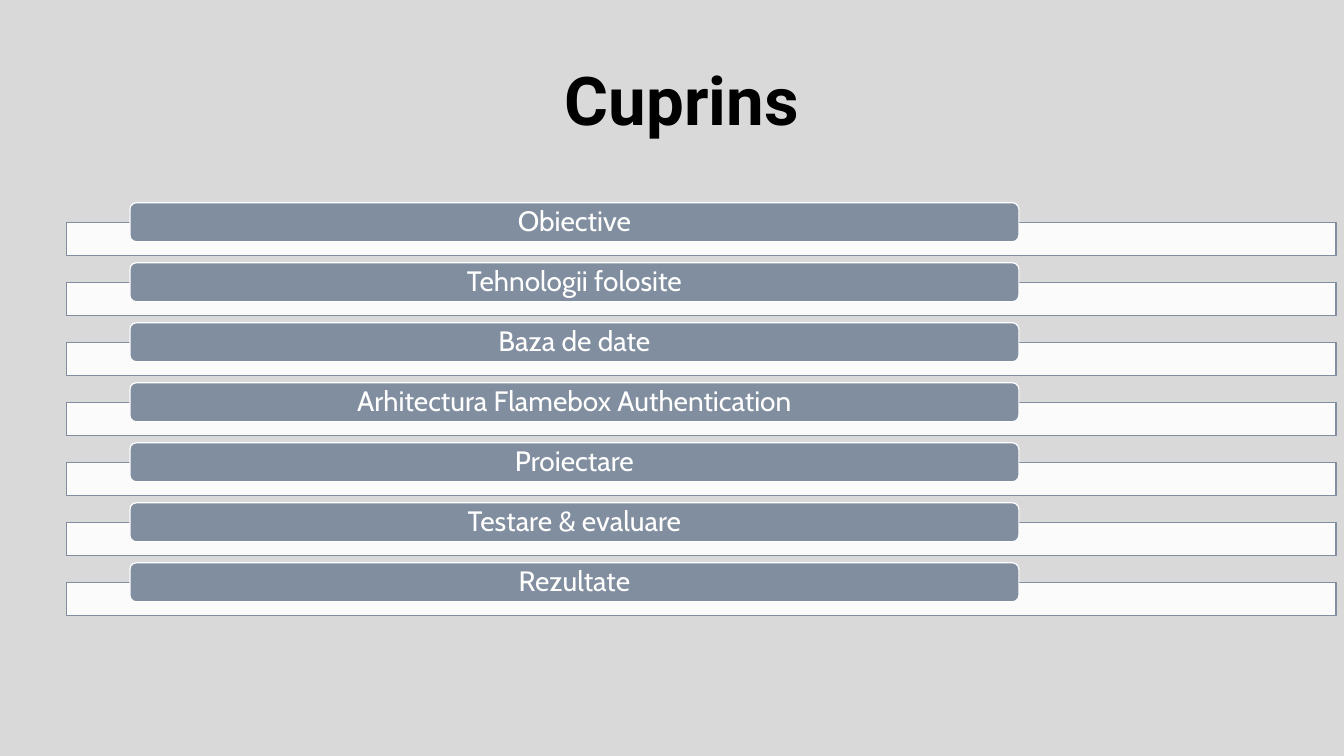
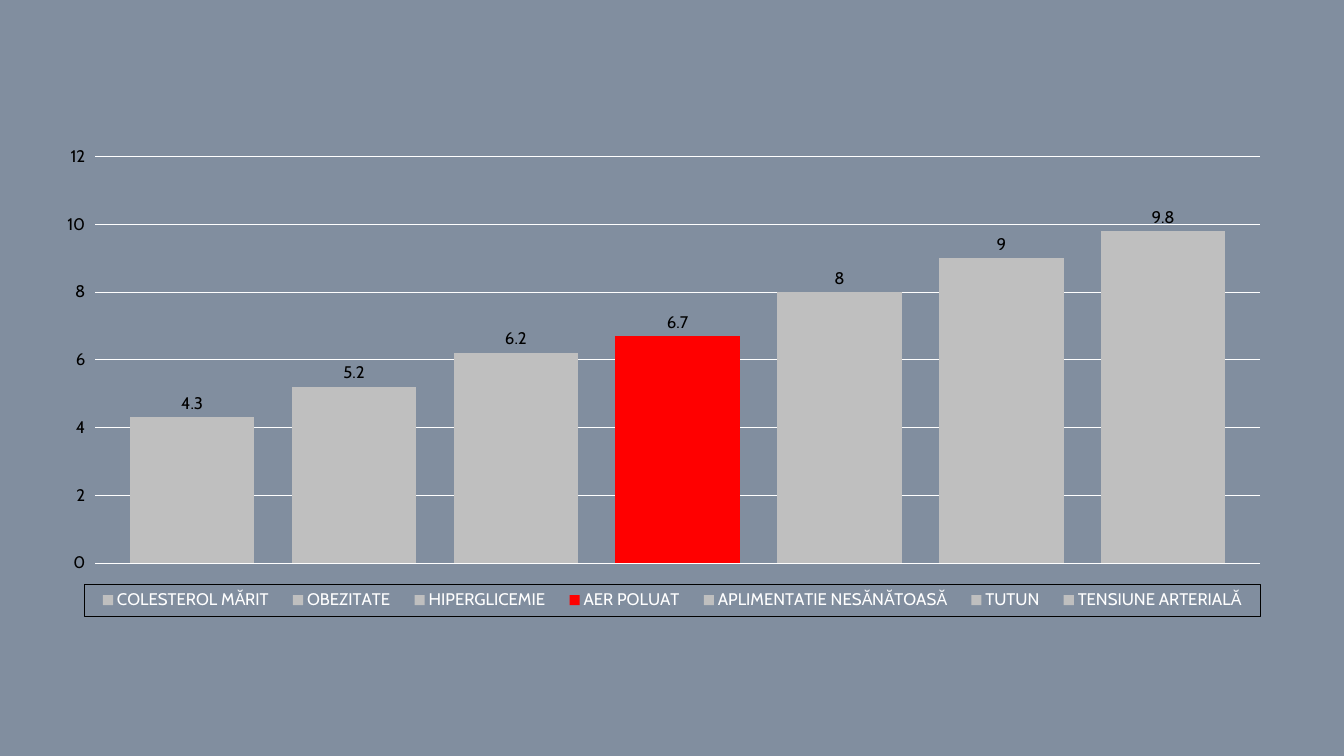
from pptx import Presentation
from pptx.chart.data import CategoryChartData
from pptx.dml.color import RGBColor
from pptx.enum.chart import XL_CHART_TYPE as ChartType
from pptx.enum.chart import XL_LABEL_POSITION as LabelPosition
from pptx.enum.chart import XL_LEGEND_POSITION as LegendPosition
from pptx.enum.chart import XL_TICK_MARK as TickMark
from pptx.enum.shapes import MSO_SHAPE as Shape
from pptx.enum.text import MSO_ANCHOR as Anchor
from pptx.enum.text import PP_ALIGN as Align
from pptx.oxml import parse_xml
from pptx.oxml.ns import nsdecls, qn
from pptx.util import Pt

SLATE, LIGHT, WHITE, BLACK = "818E9F", "D9D9D9", "FFFFFF", "000000"
GREY, RED = "BFBFBF", "FF0000"
TITLE_FONT, BODY_FONT = "Roboto", "Cabin"

TOPICS = [
    "Obiective",
    "Tehnologii folosite",
    "Baza de date",
    "Arhitectura Flamebox Authentication",
    "Proiectare",
    "Testare & evaluare",
    "Rezultate",
]
FIRST_BAR_TOP, ROW_PITCH, TRACK_DROP = 144.8, 42.87, 14

RISK_FACTORS = [
    ("COLESTEROL MĂRIT", 4.3),
    ("OBEZITATE", 5.2),
    ("HIPERGLICEMIE", 6.2),
    ("AER POLUAT", 6.7),
    ("APLIMENTATIE NESĂNĂTOASĂ", 8),
    ("TUTUN", 9),
    ("TENSIUNE ARTERIALĂ", 9.8),
]
HIGHLIGHT = "AER POLUAT"


def color(value):
    return RGBColor.from_string(value)


def set_fill(target, value):
    target.fill.solid()
    target.fill.fore_color.rgb = color(value)


def set_line(line, value, width):
    line.color.rgb = color(value)
    line.width = Pt(width)


def set_font(font, size, value, name=BODY_FONT, bold=False):
    font.name, font.size, font.bold = name, Pt(size), bold
    font.color.rgb = color(value)


def add_slide(presentation, background):
    slide = presentation.slides.add_slide(presentation.slide_layouts[6])
    set_fill(slide.background, background)
    return slide


def add_title(slide, text):
    box = slide.shapes.add_textbox(Pt(317.5), Pt(38.2), Pt(339), Pt(65.5))
    box.text_frame.word_wrap = True
    paragraph = box.text_frame.paragraphs[0]
    paragraph.text = text
    paragraph.alignment = Align.CENTER
    set_font(paragraph.font, 48, BLACK, TITLE_FONT, bold=True)


def add_box(slide, kind, left, top, width, height, fill, line):
    shape = slide.shapes.add_shape(kind, Pt(left), Pt(top), Pt(width), Pt(height))
    shape.shadow.inherit = False
    set_fill(shape, fill)
    set_line(shape.line, line, 0.85)
    return shape


def set_opacity(shape, percent):
    fill_color = shape.fill._xPr.find(qn("a:solidFill"))[0]
    fill_color.append(parse_xml(f'<a:alpha {nsdecls("a")} val="{percent * 1000}"/>'))


def add_topic(slide, text, top):
    """Add a labelled bar lying over a long pale track."""
    track = add_box(slide, Shape.RECTANGLE, 47.3, top + TRACK_DROP, 907, 23.8, WHITE, SLATE)
    set_opacity(track, 90)
    bar = add_box(slide, Shape.ROUNDED_RECTANGLE, 92.8, top, 635, 27.9, SLATE, WHITE)
    frame = bar.text_frame
    frame.word_wrap = True
    frame.vertical_anchor = Anchor.MIDDLE
    frame.margin_top = frame.margin_bottom = 0
    paragraph = frame.paragraphs[0]
    paragraph.text = text
    paragraph.alignment = Align.CENTER
    paragraph.line_spacing = 0.9
    set_font(paragraph.font, 20, WHITE)


def chart_layout(x, y, width, height, inner=False):
    """Return a manual layout, given as fractions of the chart."""
    target = '<c:layoutTarget val="inner"/>' if inner else ""
    return parse_xml(
        f'<c:layout {nsdecls("c")}><c:manualLayout>{target}'
        '<c:xMode val="edge"/><c:yMode val="edge"/>'
        f'<c:x val="{x}"/><c:y val="{y}"/><c:w val="{width}"/><c:h val="{height}"/>'
        "</c:manualLayout></c:layout>"
    )


def remove_layout(element):
    for layout in element.findall(qn("c:layout")):
        element.remove(layout)


def style_legend(chart):
    chart.has_legend = True
    legend = chart.legend
    legend.position = LegendPosition.BOTTOM
    legend.include_in_layout = False
    set_font(legend.font, 12, WHITE)
    element = legend._element
    remove_layout(element)
    element.find(qn("c:legendPos")).addnext(chart_layout(0.024, 0.905, 0.976, 0.06))
    element.find(qn("c:overlay")).addnext(parse_xml(
        f'<c:spPr {nsdecls("c", "a")}><a:noFill/><a:ln w="9525"><a:solidFill>'
        f'<a:srgbClr val="{BLACK}"/></a:solidFill></a:ln></c:spPr>'
    ))


def style_axes(chart):
    chart.category_axis.visible = False
    axis = chart.value_axis
    axis.minimum_scale, axis.maximum_scale, axis.major_unit = 0, 12, 2
    axis.major_tick_mark = TickMark.OUTSIDE
    axis.format.line.fill.background()
    axis.has_major_gridlines = True
    set_line(axis.major_gridlines.format.line, WHITE, 0.75)
    set_font(axis.tick_labels.font, 12, BLACK)


def style_series(series):
    set_fill(series.format, RED if series.name == HIGHLIGHT else GREY)
    labels = series.data_labels
    labels.show_value = True
    labels.position = LabelPosition.OUTSIDE_END
    set_font(labels.font, 12, BLACK)


def add_risk_chart(slide):
    data = CategoryChartData()
    data.categories = ["1"]
    for name, value in RISK_FACTORS:
        data.add_series(name, [value])
    chart = slide.shapes.add_chart(
        ChartType.COLUMN_CLUSTERED, Pt(39.6), Pt(70.6), Pt(861), Pt(383), data
    ).chart
    chart.has_title = False
    set_font(chart.font, 10, WHITE)
    plot = chart.plots[0]
    plot.vary_by_categories = False
    plot.gap_width, plot.overlap = 56, -30
    for series in plot.series:
        style_series(series)
    style_axes(chart)
    style_legend(chart)
    plot_area = chart._chartSpace.chart.plotArea
    remove_layout(plot_area)
    plot_area.insert(0, chart_layout(0.033, 0.108, 0.967, 0.758, inner=True))


def main():
    presentation = Presentation()
    presentation.slide_width, presentation.slide_height = Pt(960), Pt(540)

    contents = add_slide(presentation, LIGHT)
    add_title(contents, "Cuprins")
    for row, topic in enumerate(TOPICS):
        add_topic(contents, topic, FIRST_BAR_TOP + row * ROW_PITCH)

    add_risk_chart(add_slide(presentation, SLATE))

    presentation.save("out.pptx")


if __name__ == "__main__":
    main()
